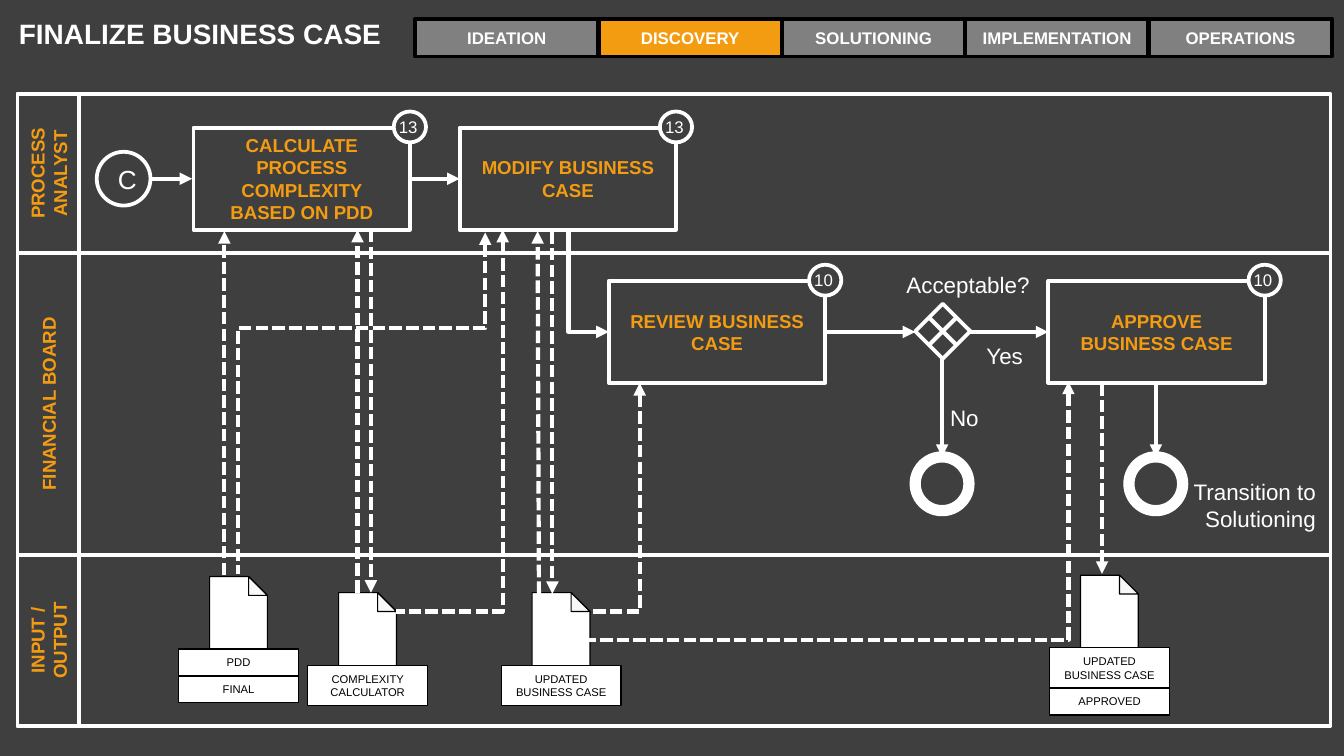
import pptx
import pptx.dml.color
import pptx.enum.dml
import pptx.enum.shapes
import pptx.enum.text
import pptx.oxml
import pptx.oxml.ns
import pptx.util

Inches = pptx.util.Inches
Pt = pptx.util.Pt
RGBColor = pptx.dml.color.RGBColor
Align = pptx.enum.text.PP_ALIGN
Anchor = pptx.enum.text.MSO_ANCHOR
Shape = pptx.enum.shapes.MSO_SHAPE
Connector = pptx.enum.shapes.MSO_CONNECTOR

CHARCOAL = RGBColor(0x3F, 0x3F, 0x3F)
WHITE = RGBColor(0xFF, 0xFF, 0xFF)
BLACK = RGBColor(0x00, 0x00, 0x00)
GRAY = RGBColor(0x80, 0x80, 0x80)
ORANGE = RGBColor(0xF3, 0x9C, 0x11)
FOLD_WHITE = RGBColor(0xF8, 0xF8, 0xF8)

PHASES = ["IDEATION", "DISCOVERY", "SOLUTIONING", "IMPLEMENTATION", "OPERATIONS"]
ACTIVE_PHASE = "DISCOVERY"
# name, top, height
LANES = [
    ("PROCESS ANALYST", 0.7, 1.18),
    ("FINANCIAL BOARD", 1.88, 2.25),
    ("INPUT / OUTPUT", 4.13, 1.27),
]
# text, badge, left, top
TASKS = [
    ("CALCULATE PROCESS COMPLEXITY BASED ON PDD", "13", 1.44, 0.95),
    ("MODIFY BUSINESS CASE", "13", 3.42, 0.95),
    ("REVIEW BUSINESS CASE", "10", 4.53, 2.09),
    ("APPROVE BUSINESS CASE", "10", 7.8, 2.09),
]
# left, top, captions with their heights
DOCUMENTS = [
    (2.29, 4.41, [("COMPLEXITY CALCULATOR", 0.3)]),
    (1.33, 4.29, [("PDD", 0.2), ("FINAL", 0.2)]),
    (3.73, 4.41, [("UPDATED BUSINESS CASE", 0.3)]),
    (7.81, 4.28, [("UPDATED BUSINESS CASE", 0.3), ("APPROVED", 0.2)]),
]
# text, left, top, width, height, wraps
LABELS = [
    ("Acceptable?", 6.59, 1.97, 1.17, 0.3, True),
    ("No", 6.96, 2.96, 0.42, 0.3, False),
    ("Yes", 7.22, 2.5, 0.49, 0.3, False),
    ("Transition to Solutioning", 8.33, 3.51, 1.56, 0.5, True),
]
# start x, start y, end x, end y
SEQUENCE_ARROWS = [
    (1.12, 1.33, 1.43, 1.33),
    (3.05, 1.33, 3.42, 1.33),
    (6.14, 2.47, 6.81, 2.47),
    (7.22, 2.47, 7.8, 2.47),
    (7.01, 2.67, 7.01, 3.4),
    (8.6, 2.85, 8.6, 3.4),
]
DATA_ARROWS = [
    (2.76, 1.71, 2.76, 4.41),
    (2.66, 4.41, 2.66, 1.71),
    (1.67, 4.28, 1.67, 1.72),
    (4.11, 1.72, 4.11, 4.42),
    (4.01, 4.42, 4, 1.72),
    (8.2, 2.85, 8.2, 4.27),
]
DATA_ELBOWS = [
    (3.74, 1.71, 2.95, 4.55),
    (4.76, 2.85, 4.39, 4.55),
    (7.95, 2.84, 4.23, 4.76),
]


def write(text_frame, text, size, color, bold=False, align=Align.CENTER):
    text_frame.text = text
    paragraph = text_frame.paragraphs[0]
    paragraph.alignment = align
    paragraph.font.name = "Arial"
    paragraph.font.size = Pt(size)
    paragraph.font.bold = bold
    paragraph.font.color.rgb = color


def style(shape, fill, line_color, line_width):
    shape.shadow.inherit = False
    if fill is None:
        shape.fill.background()
    else:
        shape.fill.solid()
        shape.fill.fore_color.rgb = fill
    shape.line.color.rgb = line_color
    shape.line.width = Pt(line_width)


def add_box(shapes, kind, left, top, width, height, fill=None, line_color=WHITE, line_width=2):
    shape = shapes.add_shape(kind, Inches(left), Inches(top), Inches(width), Inches(height))
    style(shape, fill, line_color, line_width)
    return shape


def add_label(shapes, text, left, top, width, height, wraps, size=12, align=Align.RIGHT):
    label = shapes.add_textbox(Inches(left), Inches(top), Inches(width), Inches(height))
    label.text_frame.word_wrap = wraps
    write(label.text_frame, text, size, WHITE, align=align)


def add_line(shapes, x1, y1, x2, y2, kind=Connector.STRAIGHT, dashed=False, arrow="tailEnd"):
    """Draw a connector; arrow is the end that has a head, or None."""
    line = shapes.add_connector(kind, Inches(x1), Inches(y1), Inches(x2), Inches(y2))
    line.line.color.rgb = WHITE
    line.line.width = Pt(2.25)
    if dashed:
        line.line.dash_style = pptx.enum.dml.MSO_LINE.SQUARE_DOT
    properties = line._element.spPr
    if arrow:
        head = pptx.oxml.ns.qn("a:" + arrow)
        properties.get_or_add_ln().append(properties.makeelement(head, {"type": "triangle"}))
    properties.append(properties.makeelement(pptx.oxml.ns.qn("a:effectLst"), {}))
    return line


def add_elbow(shapes, x1, y1, x2, y2, dashed=True, arrow="headEnd", bend=None):
    """Leave downwards: one turn at y2, or two turns at the share bend of the drop."""
    drop, run = y2 - y1, abs(x2 - x1)
    left, top = (x1 + x2 - drop) / 2, (y1 + y2 - run) / 2
    line = add_line(shapes, left, top, left + drop, top + run, Connector.ELBOW, dashed, arrow)
    properties = line._element.spPr
    frame = properties.find(pptx.oxml.ns.qn("a:xfrm"))
    frame.set("rot", str((90 if x2 < x1 else 270) * 60000))
    if x2 > x1:
        frame.set("flipH", "1")
    geometry = properties.find(pptx.oxml.ns.qn("a:prstGeom"))
    if bend is None:
        geometry.set("prst", "bentConnector2")
    else:
        guide = {"name": "adj1", "fmla": f"val {round(bend * 100000)}"}
        adjustments = geometry.find(pptx.oxml.ns.qn("a:avLst"))
        adjustments.append(geometry.makeelement(pptx.oxml.ns.qn("a:gd"), guide))


def add_outline(shapes, points, fill):
    corners = [(Inches(x), Inches(y)) for x, y in points]
    builder = shapes.build_freeform(*corners[0], scale=1.0)
    builder.add_line_segments(corners[1:], close=True)
    style(builder.convert_to_shape(), fill, BLACK, 0.63)


def add_phase(shapes, index, name):
    fill = ORANGE if name == ACTIVE_PHASE else GRAY
    left = 3.09 + index * 5.46 / 4
    phase = add_box(shapes, Shape.RECTANGLE, left, 0.14, 1.36, 0.28, fill, BLACK)
    write(phase.text_frame, name, 9, WHITE, bold=True)


def add_lane(shapes, name, top, height):
    add_box(shapes, Shape.RECTANGLE, 0.13, top, 9.77, height)
    thickness = 0.46
    header = add_box(shapes, Shape.RECTANGLE, 0.13 + (thickness - height) / 2,
                     top + (height - thickness) / 2, height, thickness)
    header.rotation = 270
    write(header.text_frame, name, 10, ORANGE, bold=True)


def add_task(shapes, text, badge, left, top):
    group = shapes.add_group_shape().shapes
    task = add_box(group, Shape.RECTANGLE, left, top, 1.61, 0.76)
    write(task.text_frame, text, 10, ORANGE, bold=True)
    add_box(group, Shape.OVAL, left + 1.49, top - 0.12, 0.24, 0.23, CHARCOAL)
    add_label(group, badge, left + 1.43, top - 0.13, 0.34, 0.25, False, 9, Align.LEFT)


def add_document(shapes, left, top, captions):
    group = shapes.add_group_shape().shapes
    page_left, page_right, bottom = left + 0.23, left + 0.66, top + 0.58
    fold_x, fold_y = page_right - 0.14, top + 0.14
    add_outline(group, [(fold_x, top), (page_left, top), (page_left, bottom),
                        (page_right, bottom), (page_right, fold_y)], WHITE)
    add_outline(group, [(fold_x, fold_y), (page_right, fold_y), (fold_x, top)], FOLD_WHITE)
    caption_top = top + 0.54
    for text, height in captions:
        caption = add_box(group, Shape.RECTANGLE, left, caption_top, 0.89, height,
                          WHITE, BLACK, 0.75)
        caption.text_frame.vertical_anchor = Anchor.TOP
        write(caption.text_frame, text, 6, BLACK)
        caption_top += height


def add_gateway(shapes):
    group = shapes.add_group_shape().shapes
    add_box(group, Shape.FLOWCHART_DECISION, 6.81, 2.26, 0.41, 0.41)
    add_line(group, 6.91, 2.36, 7.12, 2.57, arrow=None)
    add_line(group, 7.12, 2.36, 6.91, 2.57, arrow=None)


def add_title(slide, text):
    title = slide.shapes.title
    title.left, title.top = Inches(0.04), Inches(0.02)
    title.width, title.height = Inches(3.21), Inches(0.63)
    frame = title.text_frame
    frame.margin_left = frame.margin_right = Inches(0.1)
    frame.margin_top = frame.margin_bottom = Inches(0.1)
    frame.vertical_anchor = Anchor.TOP
    frame.word_wrap = True
    write(frame, text, 15, WHITE, bold=True, align=Align.LEFT)


def main():
    presentation = pptx.Presentation()
    presentation.slide_width = Inches(10)
    presentation.slide_height = Inches(10) * 9 // 16
    slide = presentation.slides.add_slide(presentation.slide_layouts[5])
    slide.background.fill.solid()
    slide.background.fill.fore_color.rgb = CHARCOAL
    shapes = slide.shapes

    add_title(slide, "FINALIZE BUSINESS CASE")
    for index, name in enumerate(PHASES):
        add_phase(shapes, index, name)
    for lane in LANES:
        add_lane(shapes, *lane)
    start = add_box(shapes, Shape.OVAL, 0.72, 1.13, 0.4, 0.4)
    write(start.text_frame, "C", 14, WHITE)
    for task in TASKS:
        add_task(shapes, *task)
    add_gateway(shapes)
    for left in (6.81, 8.4):
        add_box(shapes, Shape.OVAL, left, 3.4, 0.4, 0.4, line_width=6)
    for document in DOCUMENTS:
        add_document(shapes, *document)
    for arrow in SEQUENCE_ARROWS:
        add_line(shapes, *arrow)
    add_elbow(shapes, 4.23, 1.71, 4.53, 2.47, dashed=False, arrow="tailEnd")
    for arrow in DATA_ARROWS:
        add_line(shapes, *arrow, dashed=True)
    for elbow in DATA_ELBOWS:
        add_elbow(shapes, *elbow)
    add_elbow(shapes, 3.61, 1.73, 1.77, 4.27, bend=0.28)
    for label in LABELS:
        add_label(shapes, *label)
    presentation.save("out.pptx")


if __name__ == "__main__":
    main()
